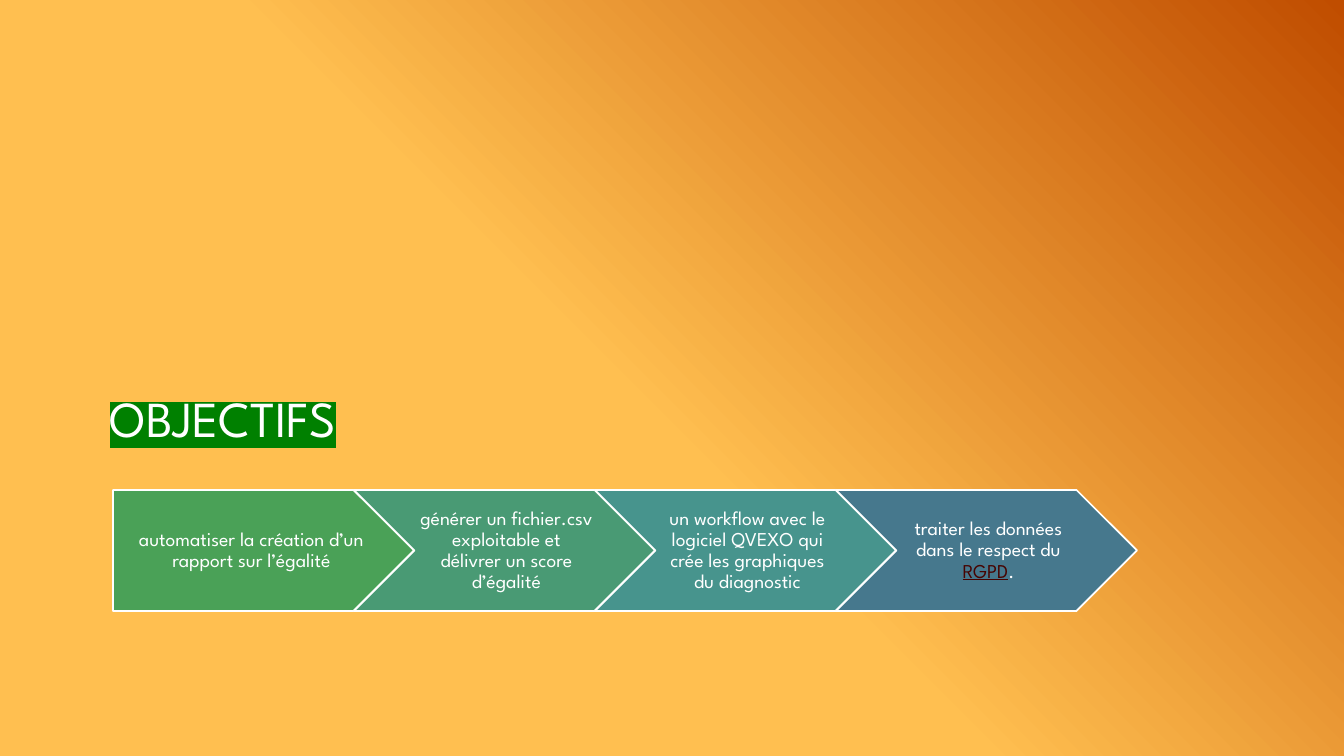
from dataclasses import dataclass

from lxml import etree
from pptx import Presentation
from pptx.dml.color import RGBColor
from pptx.enum.shapes import MSO_SHAPE
from pptx.enum.text import MSO_ANCHOR, PP_ALIGN
from pptx.oxml.ns import qn
from pptx.util import Emu, Pt

PENTAGON, CHEVRON = MSO_SHAPE.PENTAGON, MSO_SHAPE.CHEVRON
MIDDLE, BOTTOM = MSO_ANCHOR.MIDDLE, MSO_ANCHOR.BOTTOM
LEFT, CENTER = PP_ALIGN.LEFT, PP_ALIGN.CENTER
EMU_PER_PX = 12192000 / 1344


@dataclass(frozen=True)
class Theme:
    font: str = "League Spartan"
    title_size: int = 36
    step_size: int = 14
    outline_width: float = 1.25
    white: str = "FFFFFF"
    highlight: str = "008000"
    link: str = "460402"
    background: tuple = ((0.47, "FFBF50"), (1, "C04D00"))
    steps: tuple = ("4AA157", "499A74", "47948D", "46788D")


THEME = Theme()
STEPS = (
    ("automatiser la création d’un rapport sur l’égalité",),
    ("générer un fichier.csv exploitable et délivrer un score d’égalité",),
    ("un workflow avec le logiciel QVEXO qui crée les graphiques du diagnostic",),
    ("traiter les données dans le respect du", " RGPD", "."),
)
STEP_LEFT, STEP_TOP, STEP_WIDTH, STEP_HEIGHT = 113, 490, 301, 121
STEP_PITCH = 241
POINT_WIDTH = 60


def px(length):
    return Emu(round(length * EMU_PER_PX))


def color(code):
    return RGBColor.from_string(code)


def paint_background(slide):
    fill = slide.background.fill
    fill.gradient()
    fill.gradient_angle = 45
    for stop, (position, code) in zip(fill.gradient_stops, THEME.background):
        stop.position = position
        stop.color.rgb = color(code)


def add_text(slide, box, parts, size, anchor, alignment, spacing, insets):
    text_box = slide.shapes.add_textbox(*map(px, box))
    frame = text_box.text_frame
    frame.word_wrap = True
    frame.vertical_anchor = anchor
    frame.margin_left, frame.margin_top, frame.margin_right, frame.margin_bottom = map(px, insets)
    paragraph = frame.paragraphs[0]
    paragraph.alignment = alignment
    paragraph.line_spacing = spacing
    for part in parts:
        run = paragraph.add_run()
        run.text = part
        run.font.name = THEME.font
        run.font.size = Pt(size)
        run.font.color.rgb = color(THEME.white)
    return paragraph.runs


def highlight(run, code):
    mark = etree.Element(qn("a:highlight"))
    etree.SubElement(mark, qn("a:srgbClr")).set("val", code)
    run.font.fill._xPr.find(qn("a:solidFill")).addnext(mark)


def add_title(slide, text):
    runs = add_text(slide, (100, 380, 1050, 72), (text,), THEME.title_size,
                    BOTTOM, LEFT, 0.8, (10, 5, 10, 5))
    highlight(runs[0], THEME.highlight)


def add_step(slide, index, parts):
    left = STEP_LEFT + index * STEP_PITCH
    kind = CHEVRON if index else PENTAGON
    shape = slide.shapes.add_shape(
        kind, px(left), px(STEP_TOP), px(STEP_WIDTH), px(STEP_HEIGHT))
    shape.shadow.inherit = False
    shape.fill.solid()
    shape.fill.fore_color.rgb = color(THEME.steps[index])
    shape.line.color.rgb = color(THEME.white)
    shape.line.width = Pt(THEME.outline_width)

    notch = POINT_WIDTH if index else 0
    text_width = STEP_WIDTH - POINT_WIDTH // 2 if index == 0 else STEP_WIDTH - 2 * POINT_WIDTH
    box = (left + notch, STEP_TOP, text_width, STEP_HEIGHT)
    insets = (6 if index else 8, 4, 2, 4)
    runs = add_text(slide, box, parts, THEME.step_size, MIDDLE, CENTER, 0.9, insets)
    for run in runs[1:2]:
        run.font.underline = True
        run.font.color.rgb = color(THEME.link)


def main():
    """Build the slide of objectives and save it."""
    presentation = Presentation()
    presentation.slide_width, presentation.slide_height = px(1344), px(756)
    slide = presentation.slides.add_slide(presentation.slide_layouts[6])
    paint_background(slide)
    add_title(slide, "OBJECTIFS")
    for index, parts in enumerate(STEPS):
        add_step(slide, index, parts)
    presentation.save("out.pptx")


if __name__ == "__main__":
    main()
